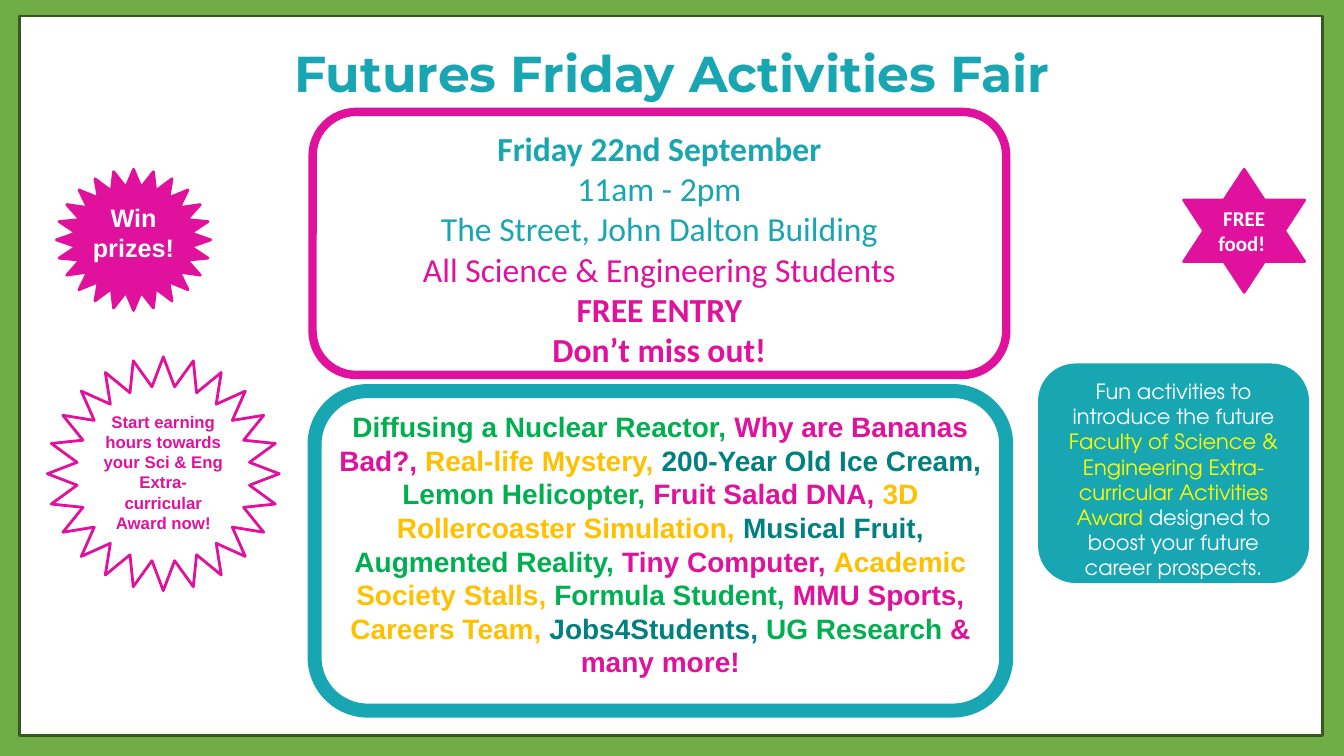
from pptx import Presentation
from pptx.dml.color import RGBColor
from pptx.enum.shapes import MSO_SHAPE as SHAPE
from pptx.enum.text import MSO_ANCHOR as ANCHOR, PP_ALIGN as ALIGN
from pptx.util import Inches, Pt

GRASS = RGBColor(0x70, 0xAD, 0x47)
FOREST = RGBColor(0x38, 0x57, 0x23)
WHITE = RGBColor(0xFF, 0xFF, 0xFF)
TEAL = RGBColor(0x18, 0xA6, 0xB2)
PINK = RGBColor(0xE0, 0x11, 0x9D)
YELLOW = RGBColor(0xFF, 0xFF, 0x00)
GREEN = RGBColor(0x00, 0xB0, 0x50)
AMBER = RGBColor(0xFF, 0xC0, 0x00)
DARK_TEAL = RGBColor(0x00, 0x80, 0x80)

prs = Presentation()
prs.slide_width, prs.slide_height = Inches(13.33), Inches(7.5)
slide = prs.slides.add_slide(prs.slide_layouts[6])
slide.background.fill.solid()
slide.background.fill.fore_color.rgb = GRASS


def add_panel(preset, box, fill, line, width):
    panel = slide.shapes.add_shape(preset, *[Inches(v) for v in box])
    panel.shadow.inherit = False
    if fill is None:
        panel.fill.background()
    else:
        panel.fill.solid()
        panel.fill.fore_color.rgb = fill
    panel.line.color.rgb = line
    panel.line.width = Pt(width)
    return panel


def write(holder, paragraphs, font, size, inset=0.03, anchor=ANCHOR.TOP):
    """Fill a shape with centred paragraphs of (text, colour, bold) runs."""
    frame = holder.text_frame
    frame.word_wrap = True
    frame.vertical_anchor = anchor
    frame.margin_left = frame.margin_right = Inches(inset)
    frame.margin_top = frame.margin_bottom = Inches(inset)
    for i, runs in enumerate(paragraphs):
        paragraph = frame.paragraphs[0] if i == 0 else frame.add_paragraph()
        paragraph.alignment = ALIGN.CENTER
        for text, color, bold in runs:
            run = paragraph.add_run()
            run.text = text
            run.font.name, run.font.size = font, Pt(size)
            run.font.bold, run.font.color.rgb = bold, color


add_panel(SHAPE.RECTANGLE, (0.19, 0.16, 12.93, 7.14), WHITE, FOREST, 2)

purpose = add_panel(SHAPE.ROUNDED_RECTANGLE, (10.31, 3.62, 2.66, 2.15), TEAL, TEAL, 2)
write(purpose, [
    [("Fun activities to introduce the future", WHITE, False)],
    [("Faculty of Science & Engineering Extra-curricular Activities Award ", YELLOW, False),
     ("designed to boost your future career prospects.", WHITE, False)],
], "TeX Gyre Adventor", 15)

details = add_panel(SHAPE.ROUNDED_RECTANGLE, (3.1, 1.11, 6.88, 2.61), WHITE, PINK, 6)
write(details, [
    [("Friday 22nd September", TEAL, True)],
    [("11am - 2pm", TEAL, False)],
    [("The Street, John Dalton Building", TEAL, False)],
    [("All Science & Engineering Students", PINK, False)],
    [("FREE ENTRY", PINK, True)],
    [("Don’t miss out!", PINK, True)],
], "Calibri", 24)

title = slide.shapes.add_textbox(Inches(2.41), Inches(0.39), Inches(8.51), Inches(0.84))
write(title, [[("Futures Friday Activities Fair", TEAL, True)]], "Montserrat", 36)

activities = [
    ("Diffusing a Nuclear Reactor, ", GREEN),
    ("Why are Bananas Bad?, ", PINK),
    ("Real-life Mystery, ", AMBER),
    ("200-Year Old Ice Cream, ", DARK_TEAL),
    ("Lemon Helicopter, ", GREEN),
    ("Fruit Salad DNA, ", PINK),
    ("3D Rollercoaster Simulation, ", AMBER),
    ("Musical Fruit, ", DARK_TEAL),
    ("Augmented Reality, ", GREEN),
    ("Tiny Computer, ", PINK),
    ("Academic Society Stalls, ", AMBER),
    ("Formula Student, ", GREEN),
    ("MMU Sports, ", PINK),
    ("Careers Team, ", AMBER),
    ("Jobs4Students, ", DARK_TEAL),
    ("UG Research ", GREEN),
    ("& many more!", PINK),
]
programme = add_panel(SHAPE.ROUNDED_RECTANGLE, (3.12, 3.88, 6.86, 3.17), None, TEAL, 10)
write(programme, [[(text, color, True) for text, color in activities]], "Arial", 20)
programme.text_frame.paragraphs[0].space_after = Pt(9)

badges = [
    (SHAPE.STAR_24_POINT, (0.56, 1.68, 1.53, 1.4), PINK,
     "Win prizes!", WHITE, "Arial", 18, ANCHOR.TOP),
    (SHAPE.STAR_24_POINT, (0.47, 3.54, 2.3, 2.32), None,
     "Start earning hours towards your Sci & Eng Extra-curricular Award now!",
     PINK, "Arial", 12, ANCHOR.TOP),
    (SHAPE.STAR_6_POINT, (11.74, 1.68, 1.2, 1.22), PINK,
     "FREE food! ", WHITE, "Calibri", 15, ANCHOR.MIDDLE),
]
for preset, box, fill, text, color, font, size, anchor in badges:
    badge = add_panel(preset, box, fill, PINK, 2)
    write(badge, [[(text, color, True)]], font, size, inset=0, anchor=anchor)

prs.save("out.pptx")
